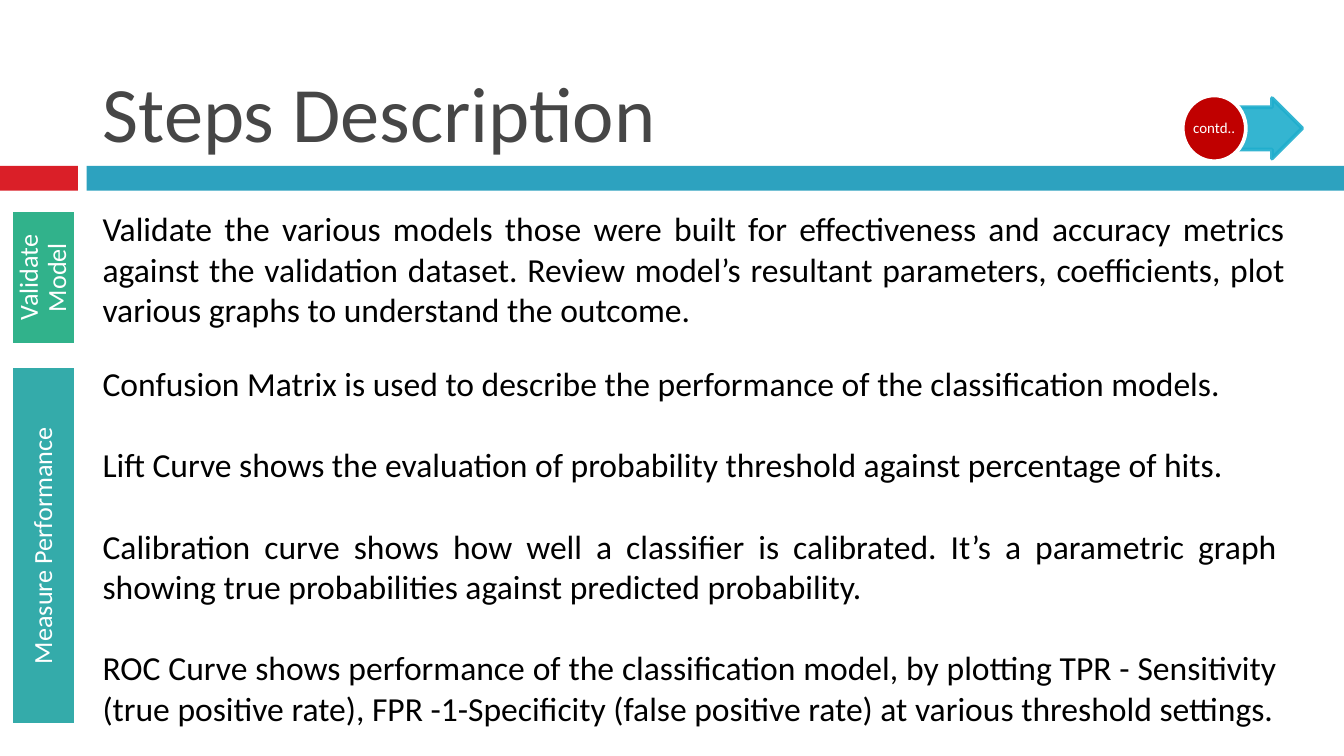
from lxml.etree import SubElement
from pptx import Presentation
from pptx.dml.color import RGBColor
from pptx.enum.shapes import MSO_SHAPE
from pptx.enum.text import MSO_ANCHOR, PP_ALIGN
from pptx.oxml.ns import qn
from pptx.util import Pt

PX = 4572
FONT = "Calibri"
WHITE = RGBColor(0xFF, 0xFF, 0xFF)
BLACK = RGBColor(0x00, 0x00, 0x00)
TITLE_GRAY = RGBColor(0x46, 0x46, 0x46)
RED = RGBColor(0xDA, 0x1F, 0x28)
BLUE = RGBColor(0x2D, 0xA2, 0xBF)
GREEN = RGBColor(0x31, 0xB2, 0x8B)
TEAL = RGBColor(0x34, 0xAB, 0xAA)
ARROW_BLUE = RGBColor(0x1F, 0xAE, 0xCD)
DARK_RED = RGBColor(0xC0, 0x00, 0x00)

VALIDATION_TEXT = [
    "Validate the various models those were built for effectiveness and accuracy metrics "
    "against the validation dataset. Review model’s resultant parameters, coefficients, "
    "plot various graphs to understand the outcome.",
]
PERFORMANCE_TEXT = [
    "Confusion Matrix is used to describe the performance of the classification models.",
    "Lift Curve shows the evaluation of probability threshold against percentage of hits.",
    "Calibration curve shows how well a classifier is calibrated. It’s a parametric graph "
    "showing true probabilities against predicted probability.",
    "ROC Curve shows performance of the classification model, by plotting TPR - Sensitivity "
    "(true positive rate), FPR -1-Specificity (false positive rate) at various threshold settings.",
]


def to_emu(box):
    return [length * PX for length in box]


def format_paragraph(paragraph, size, color, alignment):
    paragraph.alignment = alignment
    for run in paragraph.runs:
        run.font.name = FONT
        run.font.size = Pt(size)
        run.font.color.rgb = color


def add_block(slide, kind, box, fill, line=None):
    shape = slide.shapes.add_shape(kind, *to_emu(box))
    shape.shadow.inherit = False
    shape.fill.solid()
    shape.fill.fore_color.rgb = fill
    if line is None:
        shape.line.fill.background()
    else:
        shape.line.color.rgb = line
        shape.line.width = Pt(2)
    return shape


def set_label(shape, text, size, inset, wrap):
    frame = shape.text_frame
    frame.text = text
    frame.word_wrap = wrap
    frame.vertical_anchor = MSO_ANCHOR.MIDDLE
    frame.margin_left = frame.margin_right = inset * PX
    frame.margin_top = frame.margin_bottom = inset * PX
    paragraph = frame.paragraphs[0]
    paragraph.line_spacing = 0.9
    format_paragraph(paragraph, size, WHITE, PP_ALIGN.CENTER)


def add_side_label(slide, text, box, fill):
    shape = add_block(slide, MSO_SHAPE.RECTANGLE, box, fill, WHITE)
    shape.rotation = 270
    set_label(shape, text, 14, 22, True)


def add_text(slide, box, texts, size, color, alignment, anchor=MSO_ANCHOR.TOP):
    frame = slide.shapes.add_textbox(*to_emu(box)).text_frame
    frame.word_wrap = True
    frame.vertical_anchor = anchor
    frame.text = "\n".join(texts)
    for paragraph in frame.paragraphs:
        format_paragraph(paragraph, size, color, alignment)
    for paragraph in frame.paragraphs[:-1]:
        paragraph.space_after = Pt(22)


def add_continued_marker(slide):
    arrow = add_block(slide, MSO_SHAPE.RIGHT_ARROW, (1806, 146, 132, 90), ARROW_BLUE, ARROW_BLUE)
    arrow.adjustments[0] = 0.7
    for color in arrow.element.spPr.iter(qn("a:srgbClr")):
        SubElement(color, qn("a:alpha"), val="90000")
    circle = add_block(slide, MSO_SHAPE.OVAL, (1760, 142, 94, 98), DARK_RED, WHITE)
    set_label(circle, "contd..", 8, 2, False)


def main():
    presentation = Presentation()
    presentation.slide_width = 2000 * PX
    presentation.slide_height = 1125 * PX
    slide = presentation.slides.add_slide(presentation.slide_layouts[6])

    add_block(slide, MSO_SHAPE.RECTANGLE, (0, 247, 116, 37), RED)
    add_block(slide, MSO_SHAPE.RECTANGLE, (129, 247, 1871, 37), BLUE)
    add_text(slide, (133, 26, 1784, 220), ["Steps Description"], 42, TITLE_GRAY,
             PP_ALIGN.LEFT, MSO_ANCHOR.BOTTOM)
    add_side_label(slide, "Validate Model", (-35, 365, 200, 96), GREEN)
    add_text(slide, (133, 300, 1800, 202), VALIDATION_TEXT, 18, BLACK, PP_ALIGN.JUSTIFY)
    add_continued_marker(slide)
    add_side_label(slide, "Measure Performance", (-202, 764, 534, 96), TEAL)
    add_text(slide, (133, 530, 1788, 566), PERFORMANCE_TEXT, 18, BLACK, PP_ALIGN.JUSTIFY)

    presentation.save("out.pptx")


if __name__ == "__main__":
    main()
